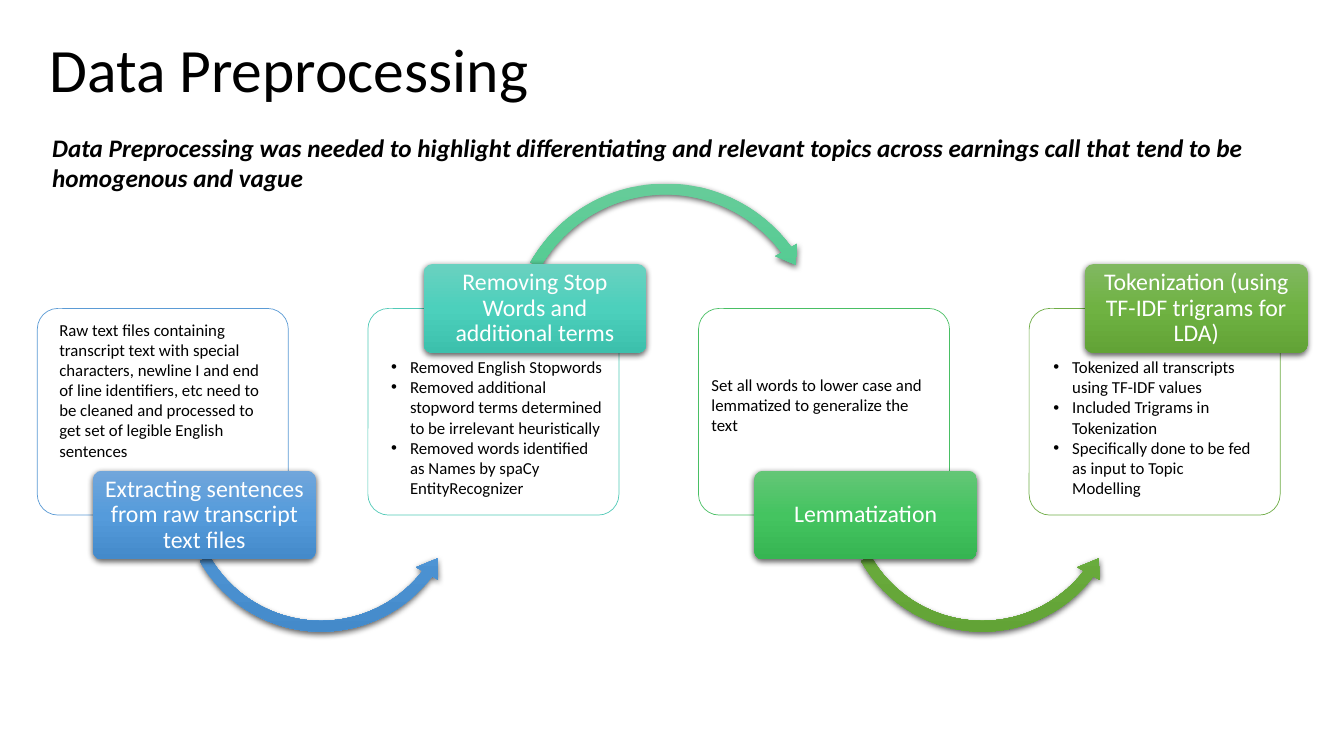
from copy import deepcopy

from lxml.etree import SubElement
from pptx import Presentation
from pptx.dml.color import RGBColor
from pptx.enum.shapes import MSO_SHAPE
from pptx.enum.text import MSO_ANCHOR, MSO_AUTO_SIZE, PP_ALIGN
from pptx.oxml.ns import qn
from pptx.util import Pt

BLACK = RGBColor(0x00, 0x00, 0x00)
WHITE = RGBColor(0xFF, 0xFF, 0xFF)
BLUE_LINE = RGBColor(0x5B, 0x9B, 0xD5)
TEAL_LINE = RGBColor(0x52, 0xCA, 0xB8)
GREEN_LINE = RGBColor(0x49, 0xBF, 0x64)
OLIVE_LINE = RGBColor(0x70, 0xAD, 0x47)
BLUE = (RGBColor(0x71, 0xA6, 0xDB), RGBColor(0x55, 0x9B, 0xDB), RGBColor(0x44, 0x8A, 0xCA))
TEAL = (RGBColor(0x6A, 0xD1, 0xC0), RGBColor(0x4C, 0xD0, 0xBC), RGBColor(0x3C, 0xC0, 0xAC))
MINT = (RGBColor(0x67, 0xCC, 0x9A), RGBColor(0x47, 0xCB, 0x8E), RGBColor(0x39, 0xBB, 0x7F))
GREEN = (RGBColor(0x64, 0xC6, 0x77), RGBColor(0x44, 0xC4, 0x60), RGBColor(0x36, 0xB5, 0x52))
OLIVE = (RGBColor(0x81, 0xB8, 0x61), RGBColor(0x6F, 0xB2, 0x42), RGBColor(0x62, 0xA3, 0x36))

FIRST_LEFT, STEP_PITCH = 26.64, 236.16
CARD_TOP, CARD_WIDTH, CARD_HEIGHT = 220.3, 179.3, 147.6
LABEL_SHIFT, LABEL_WIDTH, LABEL_HEIGHT = 39.8, 159.1, 63.4
UPPER_LABEL_TOP, LOWER_LABEL_TOP = 188.6, 336.2

# Arrow shape, shift from the card's left edge, top, size, adjustments
DIPPING = (MSO_SHAPE.LEFT_CIRCULAR_ARROW, 97.9, 247, 209.5,
           (0.037, 4.66, 22.415, 90.245, 0.044))
RISING = (MSO_SHAPE.CIRCULAR_ARROW, 96.5, 126, 232.6,
          (0.034, 4.165, 194.08, 125.755, 0.039))

# Label, label top, card line, label gradient, arrow, arrow gradient
STEPS = [
    ("Extracting sentences from raw transcript text files", LOWER_LABEL_TOP,
     BLUE_LINE, BLUE, DIPPING, BLUE),
    ("Removing Stop Words and additional terms", UPPER_LABEL_TOP,
     TEAL_LINE, TEAL, RISING, MINT),
    ("Lemmatization", LOWER_LABEL_TOP, GREEN_LINE, GREEN, DIPPING, OLIVE),
    ("Tokenization (using TF-IDF trigrams for LDA)", UPPER_LABEL_TOP,
     OLIVE_LINE, OLIVE, None, None),
]
RAW_TEXT = ("Raw text files containing transcript text with special characters, "
            "newline I and end of line identifiers, etc need to be cleaned and "
            "processed to get set of legible English sentences")
LEMMA_TEXT = "Set all words to lower case and lemmatized to generalize the text"
STOPWORD_ITEMS = [
    "Removed English Stopwords",
    "Removed additional stopword terms determined to be irrelevant heuristically",
    "Removed words identified as Names by spaCy EntityRecognizer",
]
TOKEN_ITEMS = [
    "Tokenized all transcripts using TF-IDF values",
    "Included Trigrams in Tokenization",
    "Specifically done to be fed as input to Topic Modelling",
]
SUMMARY = ("Data Preprocessing was needed to highlight differentiating and relevant "
           "topics across earnings call that tend to be homogenous and vague")


class ProcessSlide:
    def __init__(self, slide, font_name="Calibri"):
        self.slide = slide
        self.font_name = font_name

    def style(self, paragraph, size, color=BLACK, bold=False, italic=False):
        for run in paragraph.runs:
            font = run.font
            font.name, font.size, font.color.rgb = self.font_name, Pt(size), color
            font.bold, font.italic = bold, italic

    def place(self, placeholder, left, top, width, height):
        """Move a placeholder and bring it to the front."""
        placeholder.left, placeholder.top = Pt(left), Pt(top)
        placeholder.width, placeholder.height = Pt(width), Pt(height)
        self.slide.shapes._spTree.append(placeholder._element)

    def shape(self, kind, left, top, width, height, adjustments):
        shape = self.slide.shapes.add_shape(kind, Pt(left), Pt(top), Pt(width), Pt(height))
        for index, value in enumerate(adjustments):
            shape.adjustments[index] = value
        shape.shadow.inherit = False
        return shape

    def card(self, left, line_color):
        card = self.shape(MSO_SHAPE.ROUNDED_RECTANGLE, left, CARD_TOP,
                          CARD_WIDTH, CARD_HEIGHT, [0.1])
        card.fill.solid()
        card.fill.fore_color.rgb = WHITE
        white = card._element.spPr.find(qn("a:solidFill"))[0]
        SubElement(white, qn("a:alpha"), val="90000")
        card.line.color.rgb = line_color
        card.line.width = Pt(0.5)

    def glossy(self, shape, colors):
        """Give a shape a three-stop vertical gradient and a soft shadow below."""
        shape.line.fill.background()
        shape.fill.gradient()
        shape.fill.gradient_angle = 270
        properties = shape._element.spPr
        stop_list = properties.find(qn("a:gradFill")).find(qn("a:gsLst"))
        stop_list.append(deepcopy(stop_list[0]))
        for stop, color, position in zip(shape.fill.gradient_stops, colors, (0, 0.5, 1)):
            stop.color.rgb = color
            stop.position = position
        shadow = SubElement(properties.find(qn("a:effectLst")), qn("a:outerShdw"),
                            blurRad=str(Pt(4.5)), dist=str(Pt(1.5)), dir="5400000",
                            algn="ctr", rotWithShape="0")
        shadow_color = SubElement(shadow, qn("a:srgbClr"), val=str(BLACK))
        SubElement(shadow_color, qn("a:alpha"), val="63000")

    def arrow(self, card_left, arrow, colors):
        kind, shift, top, size, adjustments = arrow
        self.glossy(self.shape(kind, card_left + shift, top, size, size, adjustments), colors)

    def label(self, text, card_left, top, colors):
        label = self.shape(MSO_SHAPE.ROUNDED_RECTANGLE, card_left + LABEL_SHIFT, top,
                           LABEL_WIDTH, LABEL_HEIGHT, [0.1])
        self.glossy(label, colors)
        frame = label.text_frame
        frame.text = text
        frame.word_wrap = True
        frame.vertical_anchor = MSO_ANCHOR.MIDDLE
        frame.margin_left = frame.margin_right = Pt(4.7)
        frame.margin_top = frame.margin_bottom = Pt(3.4)
        paragraph = frame.paragraphs[0]
        paragraph.alignment = PP_ALIGN.CENTER
        paragraph.line_spacing = 0.9
        self.style(paragraph, 17, WHITE)

    def note(self, text, left, top, width, height, size=12, emphasis=False):
        note = self.slide.shapes.add_textbox(Pt(left), Pt(top), Pt(width), Pt(height))
        frame = note.text_frame
        frame.word_wrap = True
        frame.auto_size = MSO_AUTO_SIZE.SHAPE_TO_FIT_TEXT
        frame.text = text
        self.style(frame.paragraphs[0], size, bold=emphasis, italic=emphasis)

    def bullets(self, placeholder, items, left, top, width, height):
        self.place(placeholder, left, top, width, height)
        frame = placeholder.text_frame
        frame.auto_size = MSO_AUTO_SIZE.SHAPE_TO_FIT_TEXT
        frame.text = "\n".join(items)
        for paragraph in frame.paragraphs:
            properties = paragraph._p.get_or_add_pPr()
            properties.set("marL", str(Pt(13.5)))
            properties.set("indent", str(-Pt(13.5)))
            SubElement(properties, qn("a:buFont"), typeface="Arial")
            SubElement(properties, qn("a:buChar"), char="•")
            paragraph.space_before = Pt(0)
            self.style(paragraph, 12)

    def title(self, text):
        title = self.slide.shapes.title
        self.place(title, 28, 18, 727, 67.7)
        frame = title.text_frame
        frame.text = text
        frame.auto_size = MSO_AUTO_SIZE.NONE
        frame.vertical_anchor = MSO_ANCHOR.MIDDLE
        paragraph = frame.paragraphs[0]
        paragraph.alignment = PP_ALIGN.LEFT
        paragraph.line_spacing = 0.9
        self.style(paragraph, 44)


def main():
    deck = Presentation()
    deck.slide_width, deck.slide_height = Pt(960), Pt(540)
    slide = deck.slides.add_slide(deck.slide_layouts.get_by_name("Two Content"))
    process = ProcessSlide(slide)
    _, stopword_list, token_list = list(slide.placeholders)

    for index, (label, label_top, line, colors, arrow, arrow_colors) in enumerate(STEPS):
        left = FIRST_LEFT + index * STEP_PITCH
        process.card(left, line)
        if arrow:
            process.arrow(left, arrow, arrow_colors)
        process.label(label, left, label_top, colors)

    process.note(RAW_TEXT, 35.3, 224.6, 159.8, 108.7)
    process.bullets(stopword_list, STOPWORD_ITEMS, 272.2, 251.3, 166.3, 108.7)
    process.note(LEMMA_TEXT, 501.1, 264.2, 167, 51.1)
    process.bullets(token_list, TOKEN_ITEMS, 745.2, 251.3, 155.5, 108.7)
    process.note(SUMMARY, 30.2, 90.7, 878.4, 51.1, size=18, emphasis=True)
    process.title("Data Preprocessing")
    deck.save("out.pptx")


if __name__ == "__main__":
    main()
